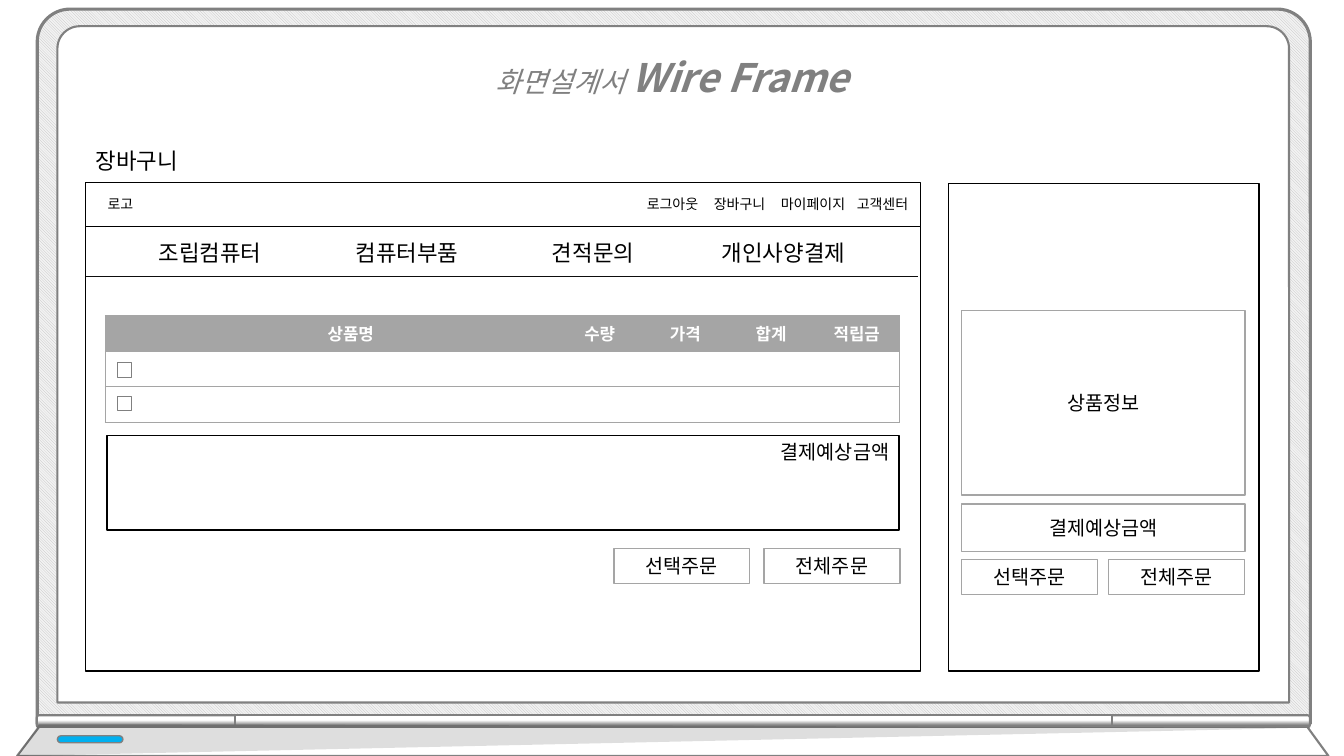
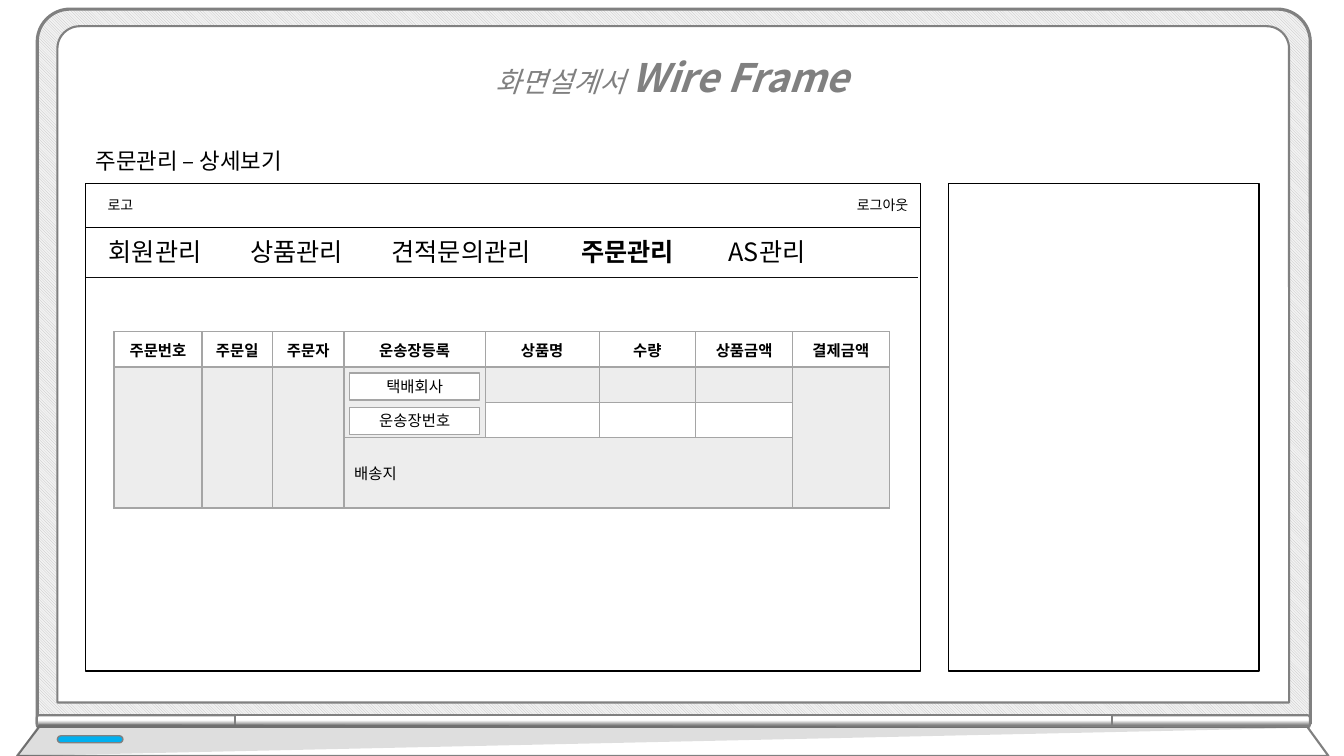
from lxml import etree
from pptx import Presentation
from pptx.dml.color import RGBColor
from pptx.enum import dml, shapes, text
from pptx.oxml.ns import qn
from pptx.util import Pt

# Shared look
FONT = "Noto Sans CJK KR"
WHITE, BLACK, GREY, SILVER = "FFFFFF", "000000", "808080", "A5A5A5"
PLAIN_TABLE = "{2D5ABB26-0587-4C30-8999-92F81FD0307C}"
RECT = shapes.MSO_SHAPE.RECTANGLE
ROUND_TOP = shapes.MSO_SHAPE.ROUND_2_SAME_RECTANGLE
ROUND_BAR = shapes.MSO_SHAPE.ROUNDED_RECTANGLE
ALIGN = {"l": text.PP_ALIGN.LEFT, "c": text.PP_ALIGN.CENTER, "r": text.PP_ALIGN.RIGHT}
ANCHOR = {"t": text.MSO_ANCHOR.TOP, "m": text.MSO_ANCHOR.MIDDLE}

# Shared page geometry
PAGE_LEFT, PAGE_TOP, PAGE_WIDTH, PAGE_HEIGHT = 61.2, 131, 596.2, 348.5
SIDE_LEFT, SIDE_WIDTH = 677.5, 221.8


def rgb(hex_color):
    return RGBColor.from_string(hex_color)


def points(*values):
    return [Pt(value) for value in values]


# Formatting
def paint(shape, fill=WHITE, line=None, width=1):
    shape.shadow.inherit = False
    if fill:
        shape.fill.solid()
        shape.fill.fore_color.rgb = rgb(fill)
    if line:
        shape.line.color.rgb = rgb(line)
        shape.line.width = Pt(width)
    else:
        shape.line.fill.background()


def set_opacity(properties, percent):
    color = properties.find(qn("a:solidFill")).find(qn("a:srgbClr"))
    etree.SubElement(color, qn("a:alpha"), val=str(percent * 1000))


def style_run(run, size, color=BLACK, **formats):
    formats = {"name": FONT, "size": Pt(size), **formats}
    for name, value in formats.items():
        setattr(run.font, name, value)
    run.font.color.rgb = rgb(color)
    etree.SubElement(run.font._element, qn("a:ea"), typeface=FONT)


def set_tabs(paragraph, stops):
    tab_list = etree.SubElement(paragraph._p.get_or_add_pPr(), qn("a:tabLst"))
    for stop in stops:
        etree.SubElement(tab_list, qn("a:tab"), pos=str(Pt(stop)), algn="l")


def write(frame, pieces, align="l", tabs=(), **style):
    """Fill a frame's only paragraph; pieces is a string or (text, formats) pairs."""
    if isinstance(pieces, str):
        pieces = [(pieces, {})]
    paragraph = frame.paragraphs[0]
    paragraph.alignment = ALIGN[align]
    if tabs:
        set_tabs(paragraph, tabs)
    for words, formats in pieces:
        run = paragraph.add_run()
        run.text = words
        style_run(run, **{**style, **formats})
    return paragraph


# Elements
def add_box(slide, box, label="", line=SILVER, size=14, align="c", anchor="m"):
    rect = slide.shapes.add_shape(RECT, *points(*box))
    paint(rect, line=line)
    if label:
        rect.text_frame.word_wrap = True
        rect.text_frame.vertical_anchor = ANCHOR[anchor]
        write(rect.text_frame, label, align, size=size)
    return rect


def add_label(slide, box, pieces, size, align="l", tabs=()):
    frame = slide.shapes.add_textbox(*points(*box)).text_frame
    frame.word_wrap = True
    write(frame, pieces, align, tabs, size=size)


def add_rule(slide, left, right, y):
    rule = slide.shapes.add_connector(
        shapes.MSO_CONNECTOR.STRAIGHT, *points(left, y, right, y))
    rule.line.color.rgb = rgb("0D0D0D")
    rule.line.width = Pt(0.5)
    etree.SubElement(rule._element.spPr, qn("a:effectLst"))


def add_polygon(slide, corners):
    builder = slide.shapes.build_freeform(*points(*corners[0]), scale=1.0)
    builder.add_line_segments([points(*corner) for corner in corners[1:]], close=True)
    return builder.convert_to_shape()


def add_grid(slide, left, top, widths, heights):
    table = slide.shapes.add_table(
        len(heights), len(widths),
        *points(left, top, sum(widths), sum(heights))).table
    table._tbl.tblPr.find(qn("a:tableStyleId")).text = PLAIN_TABLE
    table.first_row = table.horz_banding = False
    for column, width in zip(table.columns, widths):
        column.width = Pt(width)
    for row, height in zip(table.rows, heights):
        row.height = Pt(height)
    return table


def fill_cell(cell, label="", fill=None, opacity=100, align="c", **style):
    cell.vertical_anchor = ANCHOR["m"]
    if label:
        write(cell.text_frame, label, align, **style)
    else:
        paragraph = cell.text_frame.paragraphs[0]._p
        etree.SubElement(paragraph, qn("a:endParaRPr"), sz="1000")
    if fill:
        cell.fill.solid()
        cell.fill.fore_color.rgb = rgb(fill)
        if opacity < 100:
            set_opacity(cell._tc.tcPr, opacity)
    else:
        cell.fill.background()


def set_borders(cell, widths):
    """Draw the sides given as {"L": width, ...}."""
    sides = [side for side in "LRTB" if side in widths]
    for index, side in enumerate(sides):
        border = etree.Element(qn("a:ln" + side), w=str(Pt(widths[side])))
        solid = etree.SubElement(border, qn("a:solidFill"))
        etree.SubElement(solid, qn("a:srgbClr"), val=SILVER)
        cell._tc.get_or_add_tcPr().insert(index, border)


# Laptop frame
def add_hinge(slide, center, length, rotation, radius, angle):
    thickness = 8.64
    hinge = slide.shapes.add_shape(ROUND_TOP, *points(
        center - thickness / 2, 515.2 - length / 2, thickness, length))
    hinge.rotation = rotation
    hinge.adjustments[0] = radius
    paint(hinge, None, GREY, 1.5)
    hinge.fill.gradient()
    hinge.fill.gradient_angle = angle
    for stop, position, color in zip(
            hinge.fill.gradient_stops, (0.17, 0.59), (GREY, WHITE)):
        stop.position = position
        stop.color.rgb = rgb(color)


def draw_laptop(slide):
    lid = slide.shapes.add_shape(ROUND_TOP, *points(26.6, 6.5, 909.4, 510.5))
    lid.adjustments[0] = 0.046
    paint(lid, None, GREY, 2.25)
    lid.fill.patterned()
    lid.fill.pattern = dml.MSO_PATTERN.LIGHT_DOWNWARD_DIAGONAL
    lid.fill.fore_color.rgb = rgb("BFBFBF")
    lid.fill.back_color.rgb = rgb("F2F2F2")

    screen = slide.shapes.add_shape(ROUND_TOP, *points(41, 18.7, 879.8, 483.1))
    screen.adjustments[0] = 0.033
    paint(screen, WHITE, GREY, 1.5)

    add_hinge(slide, 97.2, 141.8, 270, 0.193, 0)
    add_hinge(slide, 864.7, 141.8, 90, 0.193, 180)
    add_hinge(slide, 481, 626.4, 270, 0, 0)

    base = add_polygon(slide, [(28.1, 519.1), (933.8, 519.1), (949, 540), (12.2, 540)])
    paint(base, WHITE, GREY, 1.5)
    shade = add_polygon(slide, [(28.1, 517), (12.2, 540), (937.4, 519.8)])
    paint(shade, BLACK)
    set_opacity(shade._element.spPr, 13)

    lamp = slide.shapes.add_shape(ROUND_BAR, *points(41, 525.6, 46.8, 5))
    lamp.adjustments[0] = 0.5
    paint(lamp, "00B0F0", GREY)


def build_layout(prs):
    """Keep the title alone on the layout and put the laptop on it."""
    layout = prs.slide_layouts[5]
    for holder in list(layout.placeholders):
        if holder.placeholder_format.idx:
            holder.element.getparent().remove(holder.element)
    title = layout.placeholders[0]
    title.left, title.top, title.width, title.height = points(264.2, 18, 432, 58.3)
    title.text_frame.vertical_anchor = ANCHOR["t"]
    return layout


def move_to_layout(slide, layout):
    for shape in list(slide.shapes):
        if not shape.is_placeholder:
            layout.shapes.element.append(shape.element)


# Page shared by both screens
def draw_page(slide, heading, header_top, account, account_left, account_tabs=()):
    frame = slide.shapes.title.text_frame
    frame.auto_size = text.MSO_AUTO_SIZE.NONE
    title = write(frame, [("화면설계서 ", {"size": 20, "bold": False}),
                          ("Wire Frame", {"size": 28, "bold": True})],
                  "c", color=GREY, italic=True)
    title.line_spacing = 1.5
    add_box(slide, (PAGE_LEFT, PAGE_TOP, PAGE_WIDTH, PAGE_HEIGHT), line=BLACK)
    add_box(slide, (SIDE_LEFT, PAGE_TOP, SIDE_WIDTH, PAGE_HEIGHT), line=BLACK)
    add_box(slide, (PAGE_LEFT, 98.6, PAGE_WIDTH, 31.7), heading, None, 16, "l")
    add_box(slide, (PAGE_LEFT, header_top, PAGE_WIDTH, 31.7), line=BLACK)
    label_top = header_top + 5.7
    add_label(slide, (69.8, label_top, 173.5, 19.4), "로고", 10)
    add_label(slide, (account_left, label_top, 655.8 - account_left, 19.4),
              account, 10, "l" if account_tabs else "r", account_tabs)
    add_rule(slide, PAGE_LEFT, 655.9, header_top + 67)


# Shopping cart
def draw_cart(slide):
    draw_page(slide, "장바구니", 130.3, "로그아웃\t장바구니\t마이페이지\t고객센터",
              454.9, (47.9, 95.8, 150))
    add_label(slide, (106.4, 167, 551, 26.6),
              "조립컴퓨터\t컴퓨터부품\t견적문의\t개인사양결제", 16,
              tabs=(140.6, 280.8, 402.2))

    headers = ["", "상품명", "수량", "가격", "합계", "적립금"]
    cart = add_grid(slide, 75.2, 225.4, [28.1, 294.5] + [61.2] * 4, [25.2, 25.6, 25.6])
    last = len(headers) - 1
    for r, row in enumerate(cart.rows):
        for c, cell in enumerate(row.cells):
            if r == 0:
                fill_cell(cell, headers[c], SILVER, size=12, color=WHITE, bold=True)
            else:
                fill_cell(cell)
            edge = {0: {"L": 0.5}, last: {"R": 0.5}}.get(c, {})
            set_borders(cell, {"T": 0.5, "B": 0.5, **edge})
    for check_top in (259.2, 283):
        check = slide.shapes.add_shape(RECT, *points(83.5, check_top, 10.1, 10.1))
        paint(check, WHITE, GREY, 0.5)

    add_box(slide, (76.3, 311, 566, 67.7), "결제예상금액", BLACK, align="r", anchor="t")
    add_box(slide, (SIDE_LEFT + 9.4, 221.8, 202.3, 131.8), "상품정보")
    add_box(slide, (SIDE_LEFT + 9.4, 360, 202.3, 33.8), "결제예상금액")
    # Order buttons: left, gap between lefts, top
    for left, pitch, top in ((438.5, 107.3, 391.7), (SIDE_LEFT + 9.4, 105.1, 399.6)):
        for index, label in enumerate(("선택주문", "전체주문")):
            add_box(slide, (left + index * pitch, top, 97, 25), label)


# Order details
def draw_order(slide):
    draw_page(slide, "주문관리 – 상세보기", 131, "로그아웃", 432.7)
    add_label(slide, (70.6, 165.6, 576, 28.8),
              [("회원관리\t상품관리\t견적문의관리\t", {}),
               ("주문관리\t", {"bold": True}), ("AS관리", {})], 18,
              tabs=(101, 202, 337.6, 442.8))

    headers = ["주문번호", "주문일", "주문자", "운송장등록",
               "상품명", "수량", "상품금액", "결제금액"]
    order = add_grid(slide, 81.4, 236.9,
                     [62.9, 50.4, 51.1, 100.8, 81.4, 69.1, 69.1, 69.1],
                     [25.2, 25.2, 25.2, 50.4])
    for r, row in enumerate(order.rows):
        for c, cell in enumerate(row.cells):
            if r == 0:
                fill_cell(cell, headers[c], size=11, bold=True)
            elif (r, c) == (3, 3):
                fill_cell(cell, "배송지", SILVER, 20, "l", size=11)
            else:
                white = r == 2 and 4 <= c <= 6
                fill_cell(cell, fill=None if white else SILVER, opacity=20)
            set_borders(cell, {"L": 1, "R": 1, "T": 2 if r == 1 else 1,
                               "B": 2 if r == 0 else 1})
    spans = [((1, c), (3, c)) for c in (0, 1, 2, 7)]
    spans += [((1, 3), (2, 3)), ((3, 3), (3, 6))]
    for first, final in spans:
        order.cell(*first).merge(order.cell(*final))

    for top, label in ((266.4, "택배회사"), (290.9, "운송장번호")):
        add_box(slide, (249.8, top, 92.9, 19.4), label, size=11)


def main():
    prs = Presentation()
    prs.slide_width, prs.slide_height = points(960, 540)
    layout = build_layout(prs)
    cart, order = (prs.slides.add_slide(layout) for _ in range(2))
    draw_laptop(cart)
    move_to_layout(cart, layout)
    draw_cart(cart)
    draw_order(order)
    prs.save("out.pptx")


if __name__ == "__main__":
    main()
